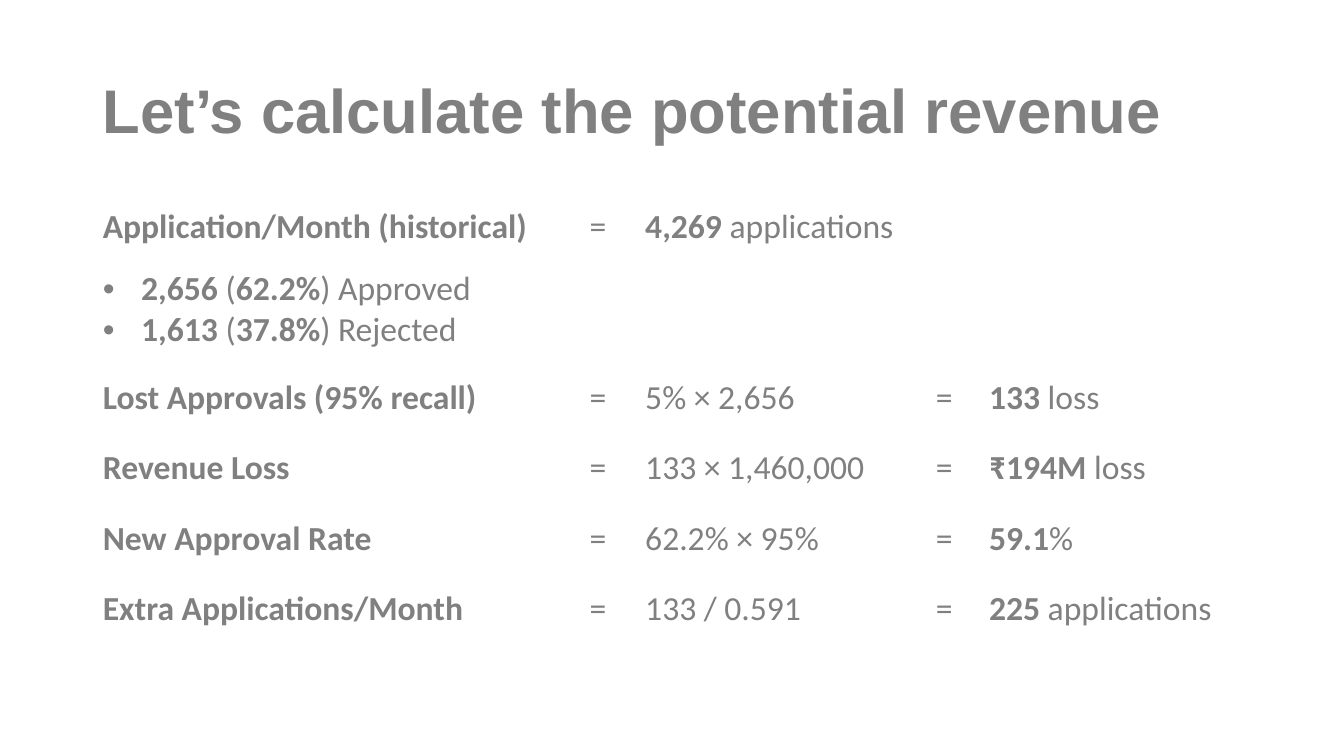
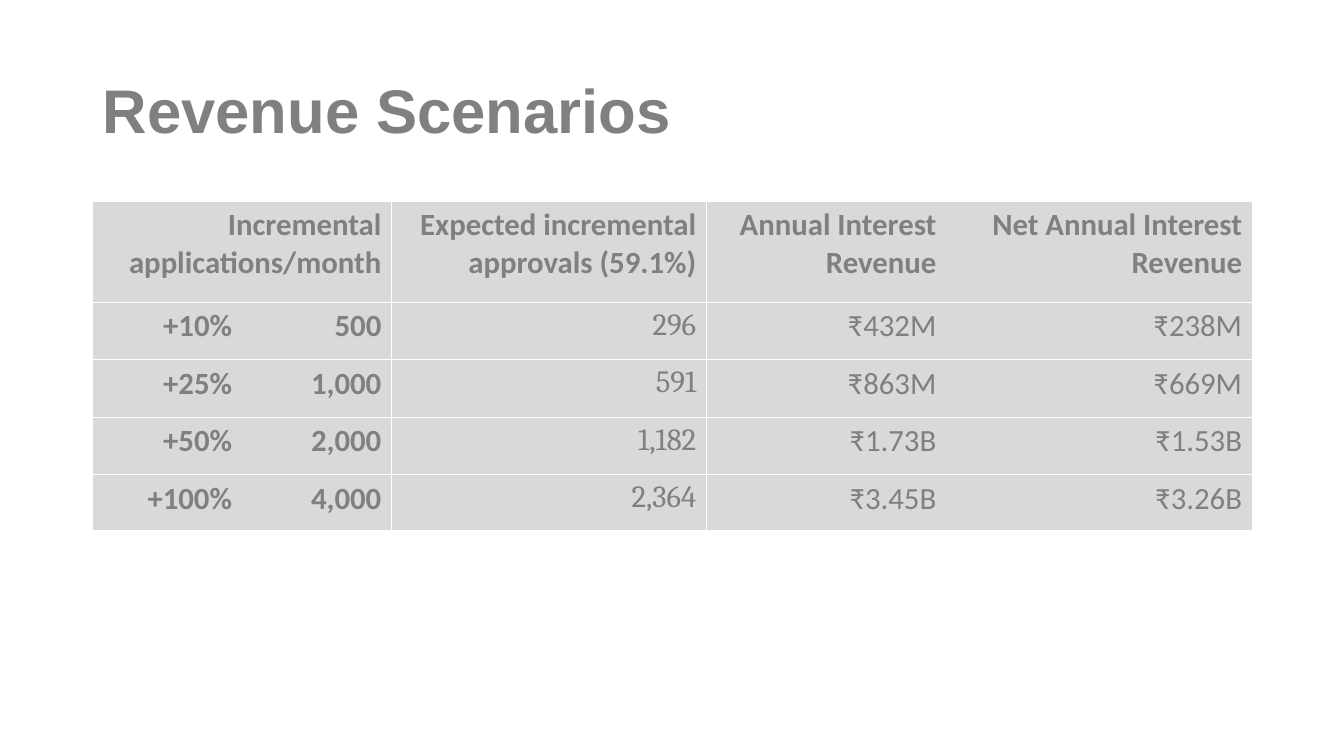
"""Build two slides on potential revenue: the calculation and its scenarios."""
from dataclasses import dataclass

from lxml import etree
from pptx import Presentation
from pptx.dml.color import RGBColor
from pptx.enum.text import MSO_ANCHOR, PP_ALIGN
from pptx.oxml.ns import qn
from pptx.util import Inches, Pt

LEFT, CENTER, RIGHT = PP_ALIGN.LEFT, PP_ALIGN.CENTER, PP_ALIGN.RIGHT
TOP, MIDDLE, BOTTOM = MSO_ANCHOR.TOP, MSO_ANCHOR.MIDDLE, MSO_ANCHOR.BOTTOM

COLORS = {"text": "808080", "paper": "FFFFFF", "cell": "D9D9D9"}
HEAD, BODY, FIGURES = "Arial", "Calibri", "Cambria"
PLAIN_STYLE = "{2D5ABB26-0587-4C30-8999-92F81FD0307C}"

SLIDE_W, SLIDE_H = 13.33, 7.5
CONTENT_X, CONTENT_W = 0.92, 11.5
TITLE_Y, TITLE_H = 0.4, 1.45
GRID_Y = 2
HANG = 0.38
BULLET = "• "


@dataclass(frozen=True)
class Grid:
    """Column weights and format shared by the tables stacked on a slide."""
    columns: tuple[float, ...]
    aligns: tuple[PP_ALIGN, ...]
    fonts: tuple[str, ...]
    size: int
    fill: str
    divider: int | None = None


@dataclass(frozen=True)
class Band:
    """One table of a stack; None in a row joins the cell to its left one."""
    heights: tuple[float, ...]
    rows: tuple[tuple[str | None, ...], ...]
    anchor: MSO_ANCHOR = TOP


CALCULATION = Grid(
    columns=(4.64, 0.74, 2.72, 0.69, 2.71),
    aligns=(LEFT, CENTER, LEFT, CENTER, LEFT),
    fonts=(BODY,) * 5,
    size=24,
    fill="paper",
)
SCENARIOS = Grid(
    columns=(1.48, 1.48, 3.12, 2.38, 3.03),
    aligns=(RIGHT,) * 5,
    fonts=(BODY, BODY, FIGURES, BODY, BODY),
    size=22,
    fill="cell",
    divider=2,
)

HISTORY = (
    "*Application/Month (historical)*\n"
    "• *2,656 *(*62.2%*) Approved\n"
    "• *1,613 *(*37.8%*) Rejected"
)
STEPS = (
    ("*Lost Approvals (95% recall)*", "5% × 2,656", "*133 *loss"),
    ("*Revenue Loss*", "133 × 1,460,000", "*₹194M *loss"),
    ("*New Approval Rate*", "62.2% × 95%", "*59.1*%"),
    ("*Extra Applications/Month*", "133 / 0.591", "*225 *applications"),
)
CALCULATION_BANDS = [
    Band((1.5,), ((HISTORY, "=", "*4,269* applications", "", ""),)),
    *(Band((0.7,), ((name, "=", formula, "=", result),), BOTTOM)
      for name, formula, result in STEPS),
]

SCENARIO_BANDS = [
    Band((1, 0.57), (
        ("*Incremental applications/month*", None,
         "*Expected incremental approvals (59.1%)*",
         "*Annual Interest Revenue*", "*Net Annual Interest Revenue*"),
        ("*+10%*", "*500*", "296", "₹432M", "₹238M"),
    )),
    Band((0.57,), (("*+25%*", "*1,000*", "591", "₹863M", "₹669M"),)),
    Band((0.57,), (("*+50%*", "*2,000*", "1,182", "₹1.73B", "₹1.53B"),)),
    Band((0.55,), (("*+100%*", "*4,000*", "2,364", "₹3.45B", "₹3.26B"),)),
]


def rgb(name: str) -> RGBColor:
    """Return the named colour."""
    return RGBColor.from_string(COLORS[name])


def write(tf, text: str, *, size: int, font: str = BODY, bold_font: str = BODY,
          align: PP_ALIGN = LEFT, anchor: MSO_ANCHOR = TOP,
          spacing: float | None = None) -> None:
    """Write lines of text, bold between asterisks, bulleted after a dot."""
    tf.vertical_anchor = anchor
    after_bullet = False
    for i, line in enumerate(text.split("\n")):
        p = tf.paragraphs[0] if i == 0 else tf.add_paragraph()
        p.alignment = align
        bulleted = line.startswith(BULLET)
        if spacing:
            p.line_spacing = spacing
        if bulleted:
            if not after_bullet:
                p.line_spacing = 1.5
            add_bullet(p)
        after_bullet = bulleted
        for j, part in enumerate(line.removeprefix(BULLET).split("*")):
            if part:
                r = p.add_run()
                r.text = part
                r.font.bold = j % 2 == 1
                r.font.name = bold_font if r.font.bold else font
                r.font.size = Pt(size)
                r.font.color.rgb = rgb("text")


def add_bullet(p) -> None:
    """Give a paragraph a hanging round bullet."""
    pPr = p._p.get_or_add_pPr()
    pPr.set("marL", str(Inches(HANG)))
    pPr.set("indent", str(-Inches(HANG)))
    etree.SubElement(pPr, qn("a:buFont"), typeface="Arial")
    etree.SubElement(pPr, qn("a:buChar"), char=BULLET.strip())


def add_borders(cell, sides: str) -> None:
    """Draw thin paper-coloured borders on the given sides of a cell."""
    tcPr = cell._tc.get_or_add_tcPr()
    for side in sides:
        ln = etree.SubElement(tcPr, qn(f"a:ln{side}"), w=str(Pt(1)))
        fill = etree.SubElement(ln, qn("a:solidFill"))
        etree.SubElement(fill, qn("a:srgbClr"), val=COLORS["paper"])


def border_sides(grid: Grid, col: int, joined: bool) -> str:
    """Return the bordered sides of a cell, in schema order."""
    if grid.divider is None:
        return ""
    left = "L" if col == grid.divider else ""
    right = "R" if col + 1 + joined == grid.divider else ""
    return left + right + "TB"


def add_band(slide, grid: Grid, band: Band, y: float) -> None:
    """Draw one table of a stack."""
    frame = slide.shapes.add_table(
        len(band.rows), len(grid.columns), Inches(CONTENT_X), Inches(y),
        Inches(CONTENT_W), Inches(sum(band.heights)))
    frame.element.find(f".//{qn('a:tableStyleId')}").text = PLAIN_STYLE
    table = frame.table
    table.first_row = table.horz_banding = False
    unit = CONTENT_W / sum(grid.columns)
    for column, weight in zip(table.columns, grid.columns):
        column.width = Inches(weight * unit)
    for i, (height, row) in enumerate(zip(band.heights, band.rows)):
        table.rows[i].height = Inches(height)
        for j, text in enumerate(row):
            cell = table.cell(i, j)
            joined = j + 1 < len(row) and row[j + 1] is None
            add_borders(cell, border_sides(grid, j, joined))
            cell.fill.solid()
            cell.fill.fore_color.rgb = rgb(grid.fill)
            if text is None:
                table.cell(i, j - 1).merge(cell)
                continue
            cell.vertical_anchor = band.anchor
            write(cell.text_frame, text, size=grid.size, font=grid.fonts[j],
                  align=grid.aligns[j], anchor=band.anchor)


def add_slide(prs, title: str, grid: Grid, bands: list[Band]) -> None:
    """Add a slide with a title above a stack of tables."""
    slide = prs.slides.add_slide(prs.slide_layouts[6])
    slide.background.fill.solid()
    slide.background.fill.fore_color.rgb = rgb("paper")
    sp = slide.shapes.add_textbox(Inches(CONTENT_X), Inches(TITLE_Y),
                                  Inches(CONTENT_W), Inches(TITLE_H))
    sp.text_frame.word_wrap = True
    write(sp.text_frame, f"*{title}*", size=44, bold_font=HEAD,
          anchor=MIDDLE, spacing=0.9)
    y = GRID_Y
    for band in bands:
        add_band(slide, grid, band, y)
        y += sum(band.heights)


def main() -> None:
    """Build and save the presentation."""
    prs = Presentation()
    prs.slide_width, prs.slide_height = Inches(SLIDE_W), Inches(SLIDE_H)
    add_slide(prs, "Let’s calculate the potential revenue",
              CALCULATION, CALCULATION_BANDS)
    add_slide(prs, "Revenue Scenarios", SCENARIOS, SCENARIO_BANDS)
    prs.save("out.pptx")


if __name__ == "__main__":
    main()
